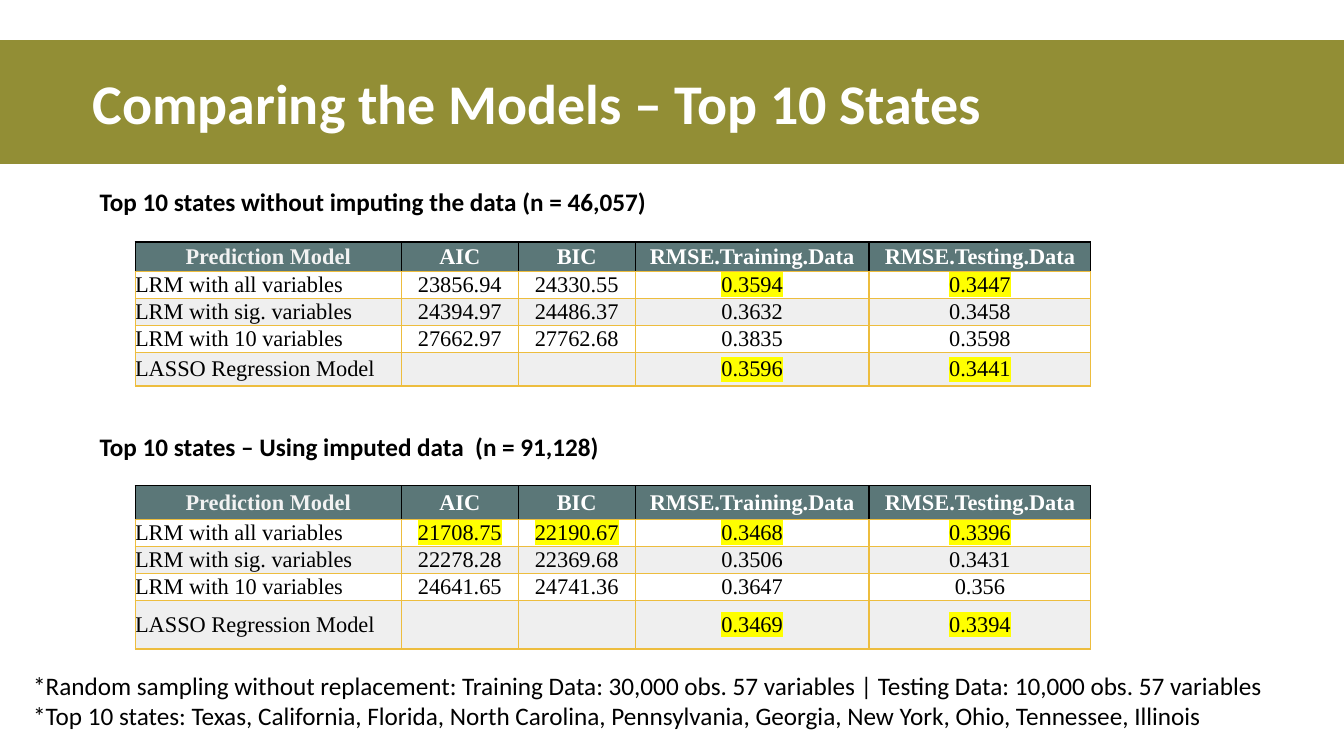
from dataclasses import dataclass

from lxml.etree import SubElement
from pptx import Presentation
from pptx.dml.color import RGBColor
from pptx.enum.shapes import MSO_SHAPE
from pptx.enum.text import MSO_ANCHOR, PP_ALIGN
from pptx.oxml.ns import qn
from pptx.util import Inches, Pt


@dataclass(frozen=True)
class Theme:
    band: str = "928E35"
    header: str = "5B7778"
    header_first: str = "F2F2F2"
    white: str = "FFFFFF"
    stripe: str = "EFEFEF"
    black: str = "000000"
    gold: str = "EDBD3E"
    highlight: str = "FFFF00"
    body_font: str = "Calibri"
    table_font: str = "Times New Roman"
    title_size: int = 40
    text_size: int = 18
    table_size: int = 16


THEME = Theme()
COLUMN_WIDTHS = (2.64, 1.16, 1.16, 2.32, 2.2)
HEADINGS = ("Prediction Model", "AIC", "BIC", "RMSE.Training.Data", "RMSE.Testing.Data")
RAW_RESULTS = (
    ("LRM with all variables", "23856.94", "24330.55", "0.3594", "0.3447"),
    ("LRM with sig. variables", "24394.97", "24486.37", "0.3632", "0.3458"),
    ("LRM with 10 variables", "27662.97", "27762.68", "0.3835", "0.3598"),
    ("LASSO Regression Model", "", "", "0.3596", "0.3441"),
)
IMPUTED_RESULTS = (
    ("LRM with all variables", "21708.75", "22190.67", "0.3468", "0.3396"),
    ("LRM with sig. variables", "22278.28", "22369.68", "0.3506", "0.3431"),
    ("LRM with 10 variables", "24641.65", "24741.36", "0.3647", "0.356"),
    ("LASSO Regression Model", "", "", "0.3469", "0.3394"),
)
FOOTNOTES = (
    "*Random sampling without replacement: Training Data: 30,000 obs. 57 variables"
    " | Testing Data: 10,000 obs. 57 variables",
    "*Top 10 states: Texas, California, Florida, North Carolina, Pennsylvania,"
    " Georgia, New York, Ohio, Tennessee, Illinois",
)


def write_text(para, text, font=THEME.body_font, size=THEME.text_size,
               color=THEME.black, bold=False, highlight=None):
    span = para.add_run()
    span.text = text
    span.font.size = Pt(size)
    span.font.bold = bold
    span.font.color.rgb = RGBColor.from_string(color)
    if highlight:
        mark = SubElement(span.font._element, qn("a:highlight"))
        SubElement(mark, qn("a:srgbClr"), val=highlight)
    span.font.name = font


def add_text_box(page, left, top, width, height, lines, wrap=True,
                 anchor=MSO_ANCHOR.TOP, line_spacing=None, **text_format):
    box = page.shapes.add_textbox(Inches(left), Inches(top), Inches(width), Inches(height))
    frame = box.text_frame
    frame.word_wrap = wrap
    frame.vertical_anchor = anchor
    for index, line in enumerate(lines):
        para = frame.add_paragraph() if index else frame.paragraphs[0]
        para.line_spacing = line_spacing
        write_text(para, line, **text_format)


def add_title_band(page):
    band = page.shapes.add_shape(
        MSO_SHAPE.RECTANGLE, Inches(-0.17), Inches(0.4), Inches(13.64), Inches(1.22))
    band.shadow.inherit = False
    band.fill.solid()
    band.fill.fore_color.rgb = RGBColor.from_string(THEME.band)
    band.line.color.rgb = RGBColor.from_string(THEME.band)
    band.line.width = Pt(1)


def set_borders(cell, side_color, bottom_color):
    """Draw left, right and top edges in one colour and the bottom in another."""
    properties = cell._tc.get_or_add_tcPr()
    for side in "LRTB":
        edge = SubElement(properties, qn(f"a:ln{side}"), w=str(Pt(1)))
        fill = SubElement(edge, qn("a:solidFill"))
        color = bottom_color if side == "B" else side_color
        SubElement(fill, qn("a:srgbClr"), val=color)


def format_cell(cell, fill, side_color):
    cell.margin_left = cell.margin_right = cell.margin_top = cell.margin_bottom = 0
    cell.vertical_anchor = MSO_ANCHOR.MIDDLE
    set_borders(cell, side_color, THEME.gold)
    cell.fill.solid()
    cell.fill.fore_color.rgb = RGBColor.from_string(fill)


def fill_cell(cell, text, row, column, highlighted):
    is_header = row == 0
    if is_header:
        fill = THEME.header
        color = THEME.white if column else THEME.header_first
    else:
        fill = THEME.white if row % 2 else THEME.stripe
        color = THEME.black
    format_cell(cell, fill, THEME.black if is_header else THEME.gold)
    if not text:
        return
    para = cell.text_frame.paragraphs[0]
    para.alignment = PP_ALIGN.CENTER if is_header or column else PP_ALIGN.LEFT
    para.space_before = para.space_after = Pt(2)
    write_text(para, text, font=THEME.table_font, size=THEME.table_size, color=color,
               bold=is_header, highlight=THEME.highlight if highlighted else None)


def add_results_table(page, top, row_heights, results, best_cells):
    """Add a model comparison; best_cells holds highlighted (row, column) pairs."""
    rows = (HEADINGS, *results)
    table = page.shapes.add_table(
        len(rows), len(HEADINGS), Inches(1.34), Inches(top),
        Inches(sum(COLUMN_WIDTHS)), Inches(sum(row_heights))).table
    table.horz_banding = False
    for column, width in zip(table.columns, COLUMN_WIDTHS):
        column.width = Inches(width)
    for row, (values, height) in enumerate(zip(rows, row_heights)):
        table.rows[row].height = Inches(height)
        for column, text in enumerate(values):
            fill_cell(table.cell(row, column), text, row, column,
                      (row, column) in best_cells)


def main():
    deck = Presentation()
    deck.slide_width, deck.slide_height = Inches(13.33), Inches(7.5)
    page = deck.slides.add_slide(deck.slide_layouts[6])

    add_title_band(page)
    add_text_box(page, 0.82, 0.33, 11.5, 1.45, ["Comparing the Models – Top 10 States"],
                 anchor=MSO_ANCHOR.MIDDLE, line_spacing=0.9,
                 size=THEME.title_size, color=THEME.white, bold=True)
    add_text_box(page, 0.23, 6.6, 12.67, 0.71, FOOTNOTES)

    best_rmse = {(1, 3), (1, 4), (4, 3), (4, 4)}
    add_text_box(page, 0.89, 1.8, 5.67, 0.4,
                 ["Top 10 states without imputing the data (n = 46,057)"],
                 wrap=False, bold=True)
    add_results_table(page, 2.4, (0.29, 0.27, 0.27, 0.27, 0.33), RAW_RESULTS, best_rmse)

    add_text_box(page, 0.89, 4.23, 6.83, 0.4,
                 ["Top 10 states – Using imputed data  (n = 91,128)"], bold=True)
    add_results_table(page, 4.82, (0.33, 0.27, 0.27, 0.27, 0.48), IMPUTED_RESULTS,
                      best_rmse | {(1, 1), (1, 2)})

    deck.save("out.pptx")


if __name__ == "__main__":
    main()
